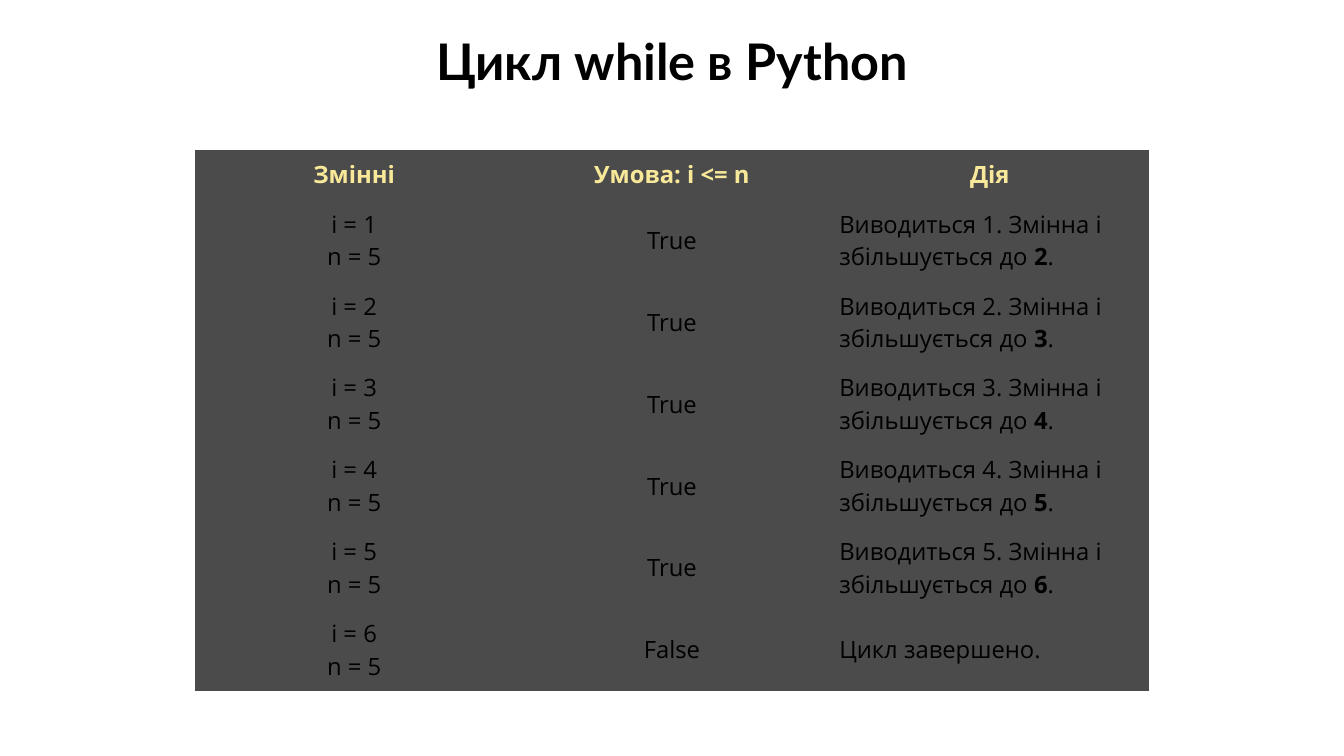
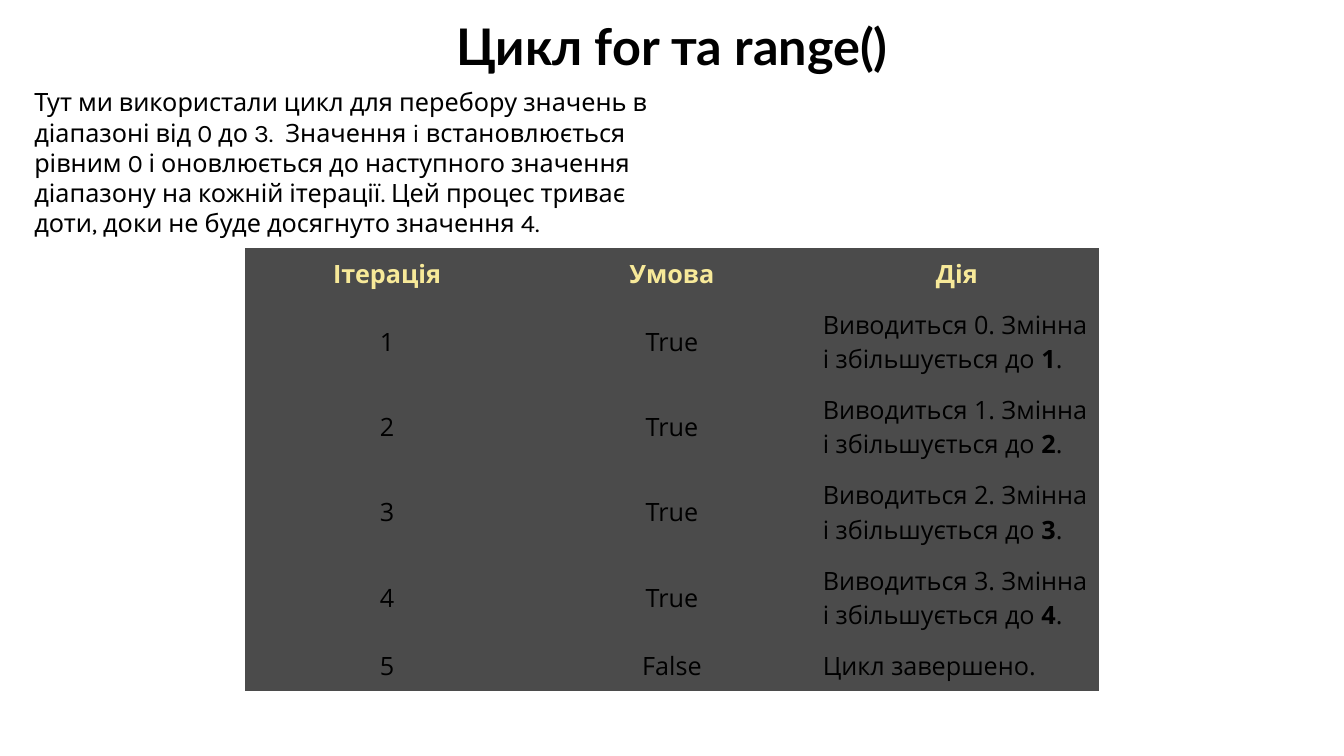
import pptx
import pptx.dml.color
import pptx.enum.lang
import pptx.enum.text
import pptx.oxml
import pptx.oxml.ns
import pptx.util

Cm = pptx.util.Cm
ALIGN = pptx.enum.text.PP_ALIGN
ANCHOR = pptx.enum.text.MSO_ANCHOR
WIDTH, HEIGHT = 33.87, 19.05
TITLE_ONLY, TITLE_AND_BODY = 5, 1


def rgb(value):
    return pptx.dml.color.RGBColor.from_string(value)


def write(p, text, size=18, font="Open Sans", color="000000", bold=False,
          align=ALIGN.LEFT):
    """Fill a paragraph; *stars* mark bold words, newlines break the line."""
    p.alignment = align
    for i, part in enumerate(text.split("*")):
        for j, line in enumerate(part.split("\n")):
            if j:
                p.add_line_break()
            if not line:
                continue
            r = p.add_run()
            r.text = line
            r.font.size = pptx.util.Pt(size)
            r.font.name = font
            r.font.bold = bold or i % 2 == 1
            r.font.color.rgb = rgb(color)
            r.font.language_id = pptx.enum.lang.MSO_LANGUAGE_ID.UKRAINIAN


class Deck:
    INK, PANEL, ACCENT = "000000", "4B4B4B", "F7E999"
    TITLE_FONT, BODY_FONT, TABLE_FONT = "Lato", "Karla", "Open Sans"
    CELL_MARGIN = 0.21

    def __init__(self):
        self.prs = pptx.Presentation()
        self.prs.slide_width, self.prs.slide_height = Cm(WIDTH), Cm(HEIGHT)
        self.slide = None

    def add_slide(self, layout):
        self.slide = self.prs.slides.add_slide(self.prs.slide_layouts[layout])

    def place(self, sp, left, top, width, height):
        """Move a placeholder and return its text frame."""
        sp.left, sp.top, sp.width, sp.height = map(Cm, (left, top, width, height))
        tf = sp.text_frame
        tf.word_wrap = True
        tf.auto_size = pptx.enum.text.MSO_AUTO_SIZE.NONE
        tf.vertical_anchor = ANCHOR.TOP
        return tf

    def title(self, text, top):
        tf = self.place(self.slide.shapes.title, 0, top, WIDTH, 1.8)
        write(tf.paragraphs[0], text, size=36, font=self.TITLE_FONT,
              color=self.INK, bold=True, align=ALIGN.CENTER)

    def body(self, text, left, top, width, height):
        tf = self.place(self.slide.placeholders[1], left, top, width, height)
        p = tf.paragraphs[0]
        write(p, text, font=self.BODY_FONT, color=self.INK)
        p.space_before = pptx.util.Pt(0)
        # Plain paragraph: no bullet, no hanging indent
        pPr = p._p.get_or_add_pPr()
        pPr.set("marL", "0")
        pPr.set("indent", "0")
        pPr.append(pptx.oxml.parse_xml(
            f'<a:buNone {pptx.oxml.ns.nsdecls("a")}/>'))

    def cell(self, cell, text, **style):
        tcPr = cell._tc.get_or_add_tcPr()
        for side in "LRTB":
            tcPr.append(pptx.oxml.parse_xml(
                f'<a:ln{side} {pptx.oxml.ns.nsdecls("a")} w="0">'
                f'<a:noFill/></a:ln{side}>'))
        cell.fill.solid()
        cell.fill.fore_color.rgb = rgb(self.PANEL)
        cell.vertical_anchor = ANCHOR.MIDDLE
        cell.margin_left = cell.margin_right = Cm(self.CELL_MARGIN)
        cell.margin_top = cell.margin_bottom = Cm(self.CELL_MARGIN)
        write(cell.text_frame.paragraphs[0], text, font=self.TABLE_FONT, **style)

    def table(self, rows, top, col_width, height, size, header_height=0,
              row_height=0):
        """Centred table; rows of zero height share the frame height."""
        cols = len(rows[0])
        width = cols * col_width
        frame = self.slide.shapes.add_table(
            len(rows), cols, Cm((WIDTH - width) / 2), Cm(top), Cm(width), Cm(height))
        table = frame.table
        table.first_row = table.horz_banding = False
        for i, row in enumerate(rows):
            header = i == 0
            table.rows[i].height = Cm(header_height if header else row_height)
            for j, text in enumerate(row):
                self.cell(table.cell(i, j), text, size=size, bold=header,
                          color=self.ACCENT if header else self.INK,
                          align=ALIGN.CENTER if header or j < cols - 1
                          else ALIGN.LEFT)
        frame.height = Cm(height)


def step(printed):
    return f"Виводиться {printed}. Змінна i збільшується до *{printed + 1}*."


def main():
    deck = Deck()
    finished = ("False", "Цикл завершено.")

    # The while loop
    deck.add_slide(TITLE_ONLY)
    deck.title("Цикл while в Python", top=0.64)
    rows = [("Змінні", "Умова: i <= n", "Дія")]
    rows += [(f"i = {i}\nn = 5", "True", step(i)) for i in range(1, 6)]
    rows.append(("i = 6\nn = 5", *finished))
    deck.table(rows, top=3.78, col_width=8.01, height=12.14, size=17,
               header_height=1.12, row_height=1.83)

    # The for loop
    deck.add_slide(TITLE_AND_BODY)
    deck.title("Цикл for та range()", top=0.25)
    deck.body("Тут ми використали цикл для перебору значень в діапазоні "
              "від 0 до 3.  Значення i встановлюється рівним 0 і оновлюється "
              "до наступного значення діапазону на кожній ітерації. Цей процес "
              "триває доти, доки не буде досягнуто значення 4.",
              left=0.61, top=2.06, width=16.94, height=4.11)
    rows = [("Ітерація", "Умова", "Дія")]
    rows += [(str(i + 1), "True", step(i)) for i in range(4)]
    rows.append(("5", *finished))
    deck.table(rows, top=6.25, col_width=7.18, height=10.16, size=18)

    deck.prs.save("out.pptx")


if __name__ == "__main__":
    main()
